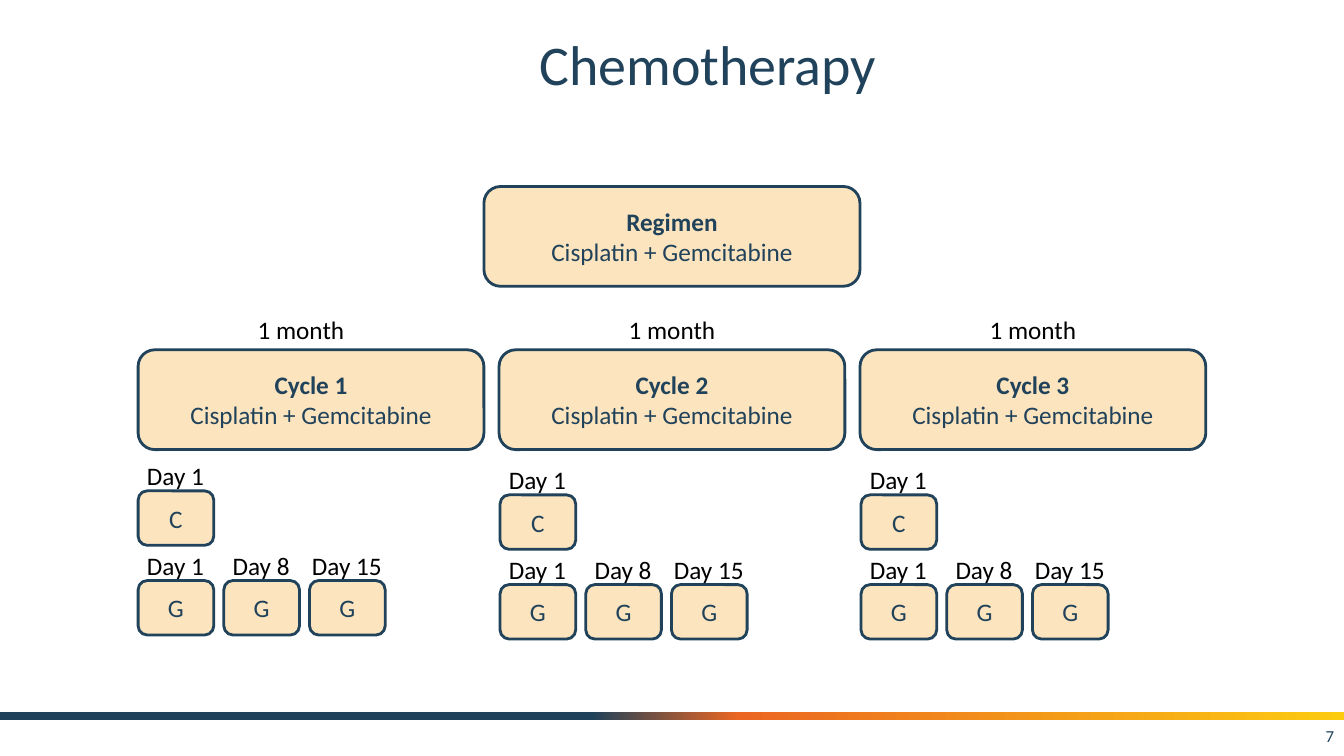
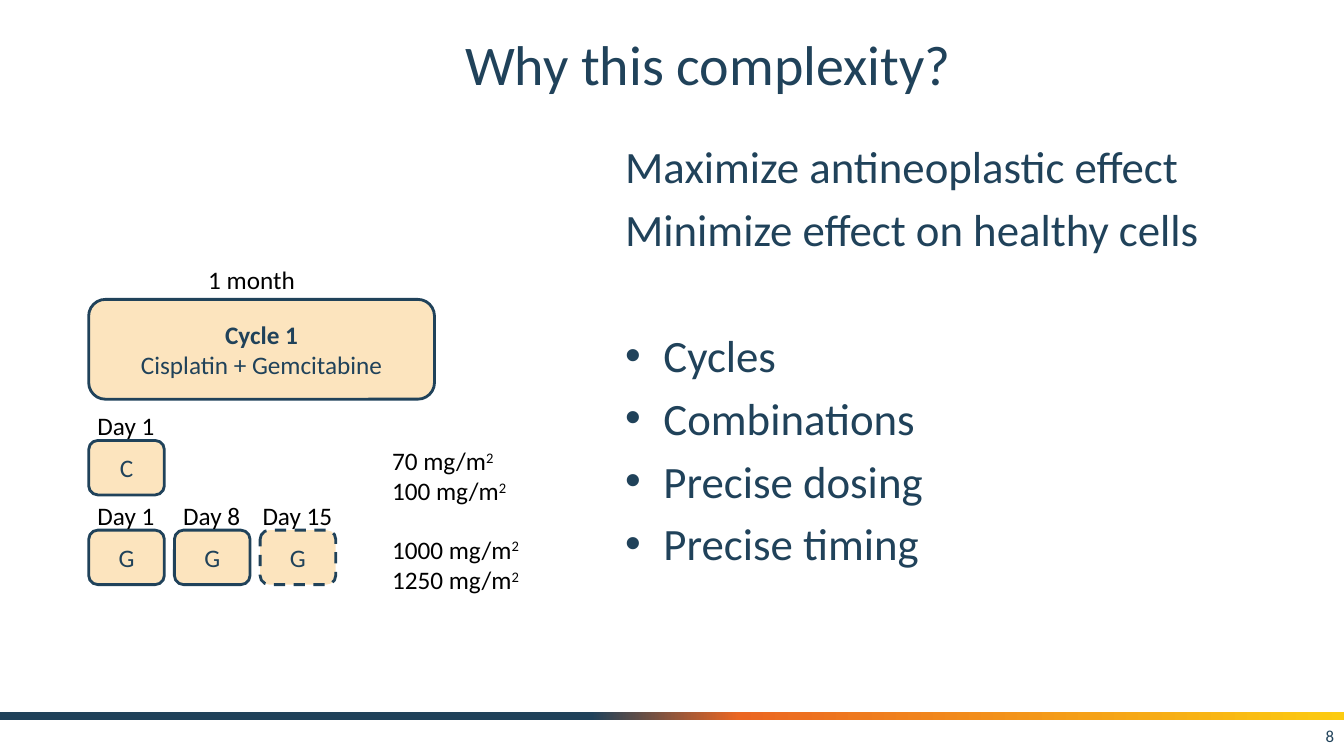
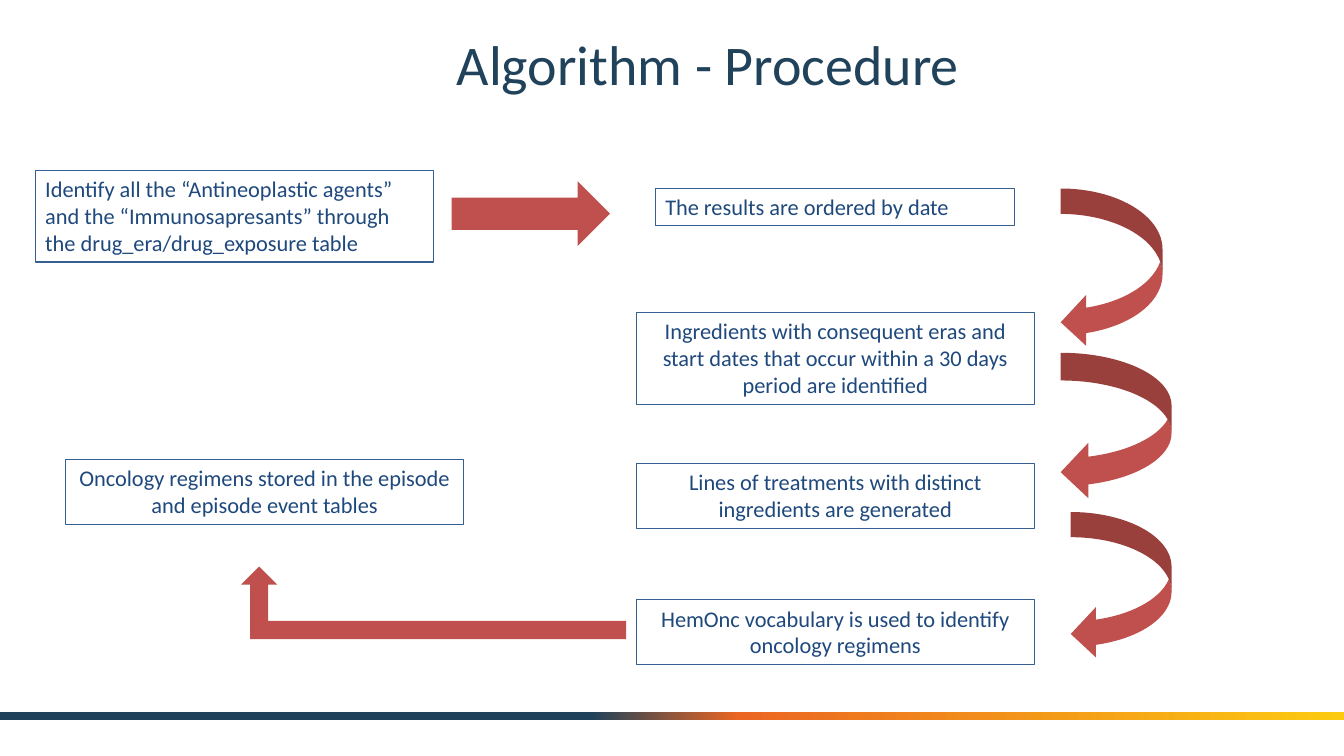
from lxml.etree import SubElement
from pptx import Presentation
from pptx.dml.color import RGBColor
from pptx.enum.dml import MSO_LINE
from pptx.enum.shapes import MSO_SHAPE
from pptx.enum.text import MSO_ANCHOR, MSO_AUTO_SIZE, PP_ALIGN
from pptx.oxml.ns import qn
from pptx.util import Inches, Pt

COLORS = {
    "navy": "20425A", "orange": "EB6622", "yellow": "FCCB10", "amber": "F5A118",
    "black": "000000", "step_text": "1F497D", "step_line": "366092", "arrow": "C0504D",
}
FONT = "Calibri"
TITLE_ONLY, TITLE_AND_BODY = 5, 1
BAND_STOPS = [(0, "navy"), (44, "navy"), (55, "orange"), (100, "yellow")]

DRUGS = "Cisplatin + Gemcitabine"
GEMCITABINE_DAYS = ["Day 1", "Day 8", "Day 15"]
CYCLE_SIZE, DOSE_SIZE = (3.43, 0.99), (0.75, 0.54)
DOSE_PITCH = 0.85

# name, left, top, offset of the month label, offset of the doses (across, down)
REGIMEN_CYCLES = [
    ("Cycle 1", 1.37, 3.47, 1.08, (0, 0)),
    ("Cycle 2", 4.95, 3.47, 1.18, (0.01, 0.04)),
    ("Cycle 3", 8.53, 3.47, 1.18, (0.01, 0.04)),
]
SAMPLE_CYCLE = ("Cycle 1", 0.88, 2.97, 1.08, (0, 0))

DOSAGES = [
    (4.37, ["70 mg/m^2", "100 mg/m^2"]),
    (5.25, ["1000 mg/m^2", "1250 mg/m^2"]),
]
GOALS = ["Maximize antineoplastic effect", "Minimize effect on healthy cells"]
MEANS = ["Cycles", "Combinations", "Precise dosing", "Precise timing"]

# box, alignment, line width, paragraphs
STEPS = [
    ((0.35, 1.69, 3.95, 0.91), PP_ALIGN.LEFT, 1,
     ["Identify all the “Antineoplastic agents”",
      "and the “Immunosapresants” through the drug_era/drug_exposure table"]),
    ((6.5, 1.87, 3.56, 0.37), PP_ALIGN.LEFT, 0.75, ["The results are ordered by date"]),
    ((6.31, 3.1, 3.95, 0.91), PP_ALIGN.CENTER, 0.75,
     ["Ingredients with consequent eras and start dates that occur within a 30 days "
      "period are identified"]),
    ((6.31, 4.6, 3.95, 0.64), PP_ALIGN.CENTER, 0.75,
     ["Lines of treatments with distinct ingredients are generated"]),
    ((6.31, 5.95, 3.95, 0.64), PP_ALIGN.CENTER, 0.75,
     ["HemOnc vocabulary is used to identify oncology regimens"]),
    ((0.65, 4.56, 3.95, 0.64), PP_ALIGN.CENTER, 0.75,
     ["Oncology regimens stored in the episode and episode event tables"]),
]
ARROWS = [
    (MSO_SHAPE.RIGHT_ARROW, (4.48, 1.8, 1.57, 0.64)),
    (MSO_SHAPE.CURVED_LEFT_ARROW, (10.52, 1.87, 1.01, 1.58)),
    (MSO_SHAPE.CURVED_LEFT_ARROW, (10.52, 3.5, 1.1, 1.46)),
    (MSO_SHAPE.CURVED_LEFT_ARROW, (10.62, 5.08, 1, 1.46)),
    (MSO_SHAPE.BENT_UP_ARROW, (2.39, 5.62, 3.82, 0.72)),
]


def rgb(name):
    return RGBColor.from_string(COLORS[name])


def inches(box):
    return [Inches(length) for length in box]


def write(frame, paragraphs, size=18, color="black", align=PP_ALIGN.CENTER,
          anchor=MSO_ANCHOR.TOP, bold_first=False, wrap=True):
    """Fill a text frame; the part of a paragraph after ^ is superscript."""
    frame.word_wrap = wrap
    frame.auto_size = MSO_AUTO_SIZE.NONE
    frame.vertical_anchor = anchor
    for index, text in enumerate(paragraphs):
        paragraph = frame.add_paragraph() if index else frame.paragraphs[0]
        paragraph.alignment = align
        for position, part in enumerate(text.split("^")):
            run = paragraph.add_run()
            run.text = part
            run.font.name, run.font.size = FONT, Pt(size)
            run.font.color.rgb = rgb(color)
            run.font.bold = bold_first and index == 0
            if position:
                run.font._element.set("baseline", "30000")


def add_label(slide, box, paragraphs, **text_format):
    label = slide.shapes.add_textbox(*inches(box))
    write(label.text_frame, paragraphs, **text_format)


def add_flat_shape(slide, preset, box, fill=None, line=None, width=1):
    shape = slide.shapes.add_shape(preset, *inches(box))
    shape.shadow.inherit = False
    if fill:
        shape.fill.solid()
        shape.fill.fore_color.rgb = rgb(fill)
    else:
        shape.fill.background()
    if line:
        shape.line.color.rgb = rgb(line)
        shape.line.width = Pt(width)
    else:
        shape.line.fill.background()
    return shape


def add_card(slide, box, paragraphs, dashed=False, bold_first=False):
    card = add_flat_shape(slide, MSO_SHAPE.ROUNDED_RECTANGLE, box, "amber", "navy", 2)
    fill_color = card.element.spPr.find(qn("a:solidFill"))[0]
    SubElement(fill_color, qn("a:alpha"), val="28000")
    if dashed:
        card.line.dash_style = MSO_LINE.DASH
    write(card.text_frame, paragraphs, color="navy", anchor=MSO_ANCHOR.MIDDLE,
          bold_first=bold_first)


def add_dose(slide, left, top, day, letter, dashed=False):
    add_card(slide, (left, top, *DOSE_SIZE), [letter], dashed)
    add_label(slide, (left - 0.08, top - 0.35, 0.9, 0.4), [day], wrap=False)


def add_cycle(slide, name, left, top, month_offset, dose_offset, last_dashed=False):
    add_label(slide, (left + month_offset, top - 0.4, 1.07, 0.4), ["1 month"], wrap=False)
    add_card(slide, (left, top, *CYCLE_SIZE), [name, DRUGS], bold_first=True)
    dose_left = left + dose_offset[0]
    dose_top = top + 1.4 + dose_offset[1]
    add_dose(slide, dose_left, dose_top, "Day 1", "C")
    for column, day in enumerate(GEMCITABINE_DAYS):
        dashed = last_dashed and day == GEMCITABINE_DAYS[-1]
        add_dose(slide, dose_left + column * DOSE_PITCH, dose_top + 0.89, day, "G", dashed)


def place(placeholder, box):
    placeholder.left, placeholder.top, placeholder.width, placeholder.height = inches(box)


def add_slide(deck, layout, title, number=None):
    slide = deck.slides.add_slide(deck.slide_layouts[layout])
    write(slide.shapes.title.text_frame, [title], size=40, color="navy",
          anchor=MSO_ANCHOR.MIDDLE)
    if number:
        add_label(slide, (10.22, 7.1, 3.11, 0.4), [number], size=12, color="navy",
                  align=PP_ALIGN.RIGHT, anchor=MSO_ANCHOR.MIDDLE)
    return slide


def move_band_to_master(deck, slide):
    """Draw the gradient band on a slide, then hand it to the master for all slides."""
    band = add_flat_shape(slide, MSO_SHAPE.RECTANGLE, (0, 7.06, 13.33, 0.08))
    band.fill.gradient()
    band.fill.gradient_angle = 0
    stops = band.element.spPr.find(".//" + qn("a:gsLst"))
    stops.clear()
    for percent, color in BAND_STOPS:
        stop = SubElement(stops, qn("a:gs"), pos=str(percent * 1000))
        SubElement(stop, qn("a:srgbClr"), val=COLORS[color])
    band.element.nvSpPr.cNvPr.set("id", "100")
    deck.slide_master.shapes.element.insert(2, band.element)


def fill_body(body):
    place(body, (6.1, 1.33, 6.56, 5.37))
    write(body.text_frame, GOALS + MEANS, size=32, color="navy", align=PP_ALIGN.LEFT)
    for index, paragraph in enumerate(body.text_frame.paragraphs):
        starts_means = index == len(GOALS)
        paragraph.space_before = Pt(51.5 if starts_means else 6.4 if index else 0)
        is_bullet = index >= len(GOALS)
        indent = Inches(0.38) if is_bullet else 0
        properties = paragraph._p.get_or_add_pPr()
        properties.set("marL", str(indent))
        properties.set("indent", str(-indent))
        if is_bullet:
            SubElement(properties, qn("a:buFont"), typeface="Arial")
            SubElement(properties, qn("a:buChar"), char="•")
        else:
            SubElement(properties, qn("a:buNone"))


def build_chemotherapy(deck):
    slide = add_slide(deck, TITLE_ONLY, "Chemotherapy", "7")
    move_band_to_master(deck, slide)
    add_card(slide, (4.8, 1.85, 3.73, 0.99), ["Regimen", DRUGS], bold_first=True)
    for cycle in REGIMEN_CYCLES:
        add_cycle(slide, *cycle)


def build_complexity(deck):
    slide = add_slide(deck, TITLE_AND_BODY, "Why this complexity?", "8")
    fill_body(slide.placeholders[1])
    add_cycle(slide, *SAMPLE_CYCLE, last_dashed=True)
    for top, amounts in DOSAGES:
        add_label(slide, (3.79, top, 1.49, 0.71), amounts, align=PP_ALIGN.LEFT, wrap=False)


def build_procedure(deck):
    slide = add_slide(deck, TITLE_ONLY, "Algorithm - Procedure")
    for box, align, width, paragraphs in STEPS:
        step = add_flat_shape(slide, MSO_SHAPE.RECTANGLE, box, line="step_line", width=width)
        write(step.text_frame, paragraphs, size=16, color="step_text", align=align)
    for preset, box in ARROWS:
        arrow = add_flat_shape(slide, preset, box, "arrow")
        if preset == MSO_SHAPE.BENT_UP_ARROW:
            arrow.element.spPr.xfrm.set("flipH", "1")


def main():
    deck = Presentation()
    deck.slide_width, deck.slide_height = Inches(13.33), Inches(7.5)
    place(deck.slide_master.placeholders[0], (1.37, 0.17, 11.3, 0.92))
    build_chemotherapy(deck)
    build_complexity(deck)
    build_procedure(deck)
    deck.save("out.pptx")


if __name__ == "__main__":
    main()
